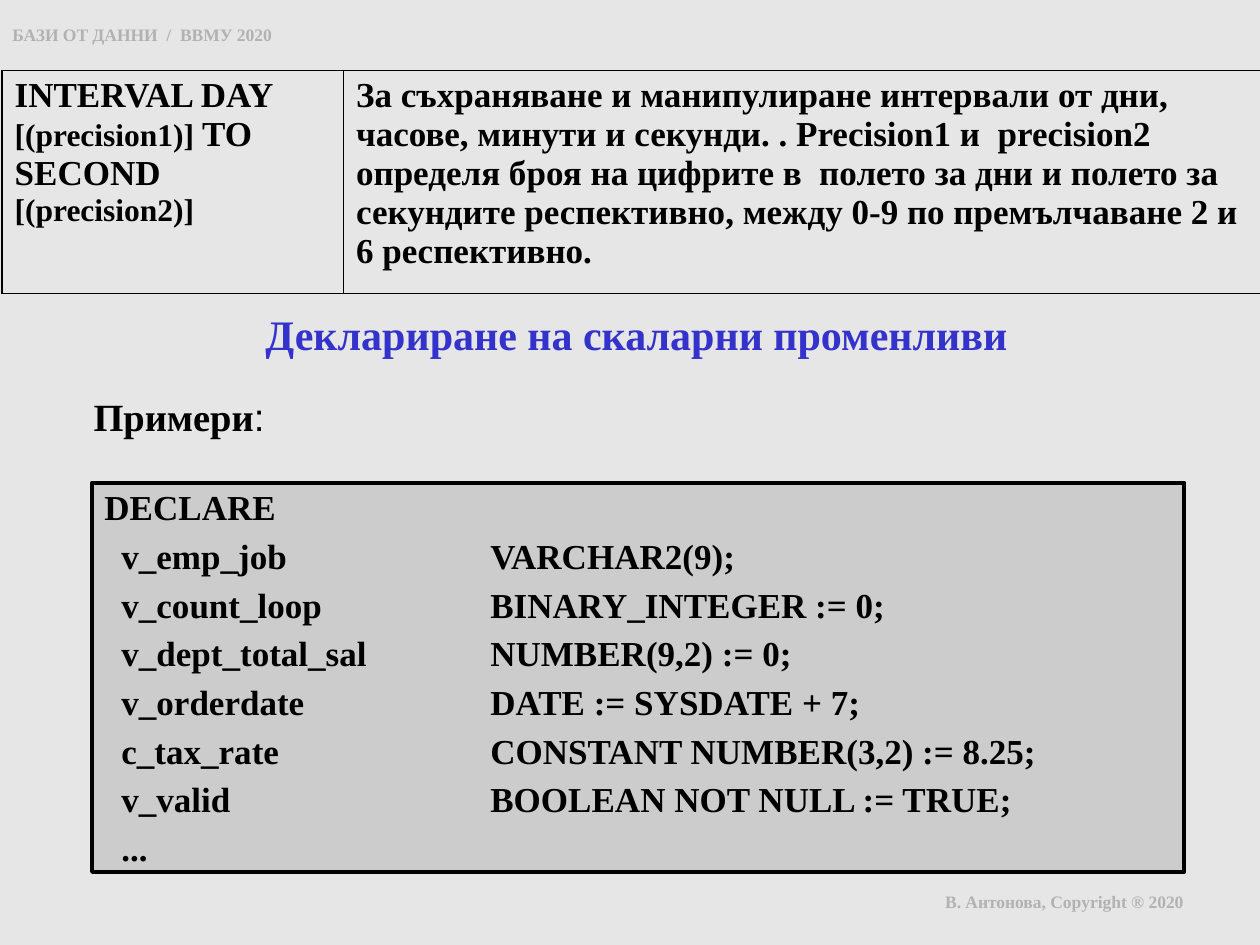
from pptx import Presentation
from pptx.dml.color import RGBColor
from pptx.enum import shapes, text
from pptx.oxml import parse_xml
from pptx.oxml.ns import nsdecls
from pptx.util import Pt

BLACK = RGBColor(0, 0, 0)
BLUE = RGBColor(0x33, 0x33, 0xCC)
MUTED = RGBColor(0xB2, 0xB2, 0xB2)
PANEL = RGBColor(0xCC, 0xCC, 0xCC)
PAGE = RGBColor(0xE6, 0xE6, 0xE6)
SERIF = "Times New Roman"

# Each paragraph is a list of (text, size) runs
TYPE = [
    [("INTERVAL DAY ", 20)],
    [("[(precision1)] ", 18), ("TO SECOND ", 20), ("[(precision2)] ", 18)],
]
USE = [[(
    "За съхраняване и манипулиране интервали от дни, часове, минути и секунди. . "
    "Precision1 и  precision2 определя броя на цифрите в  полето за дни и полето за "
    "секундите респективно, между 0-9 по премълчаване 2 и 6 респективно.", 20)]]
WIDTHS = (195.1, 524.9)
# Text, box, inset, size, colour, alignment, space before
LABELS = [
    ("БАЗИ ОТ ДАННИ  /  ВВМУ 2020", (0, 10, 215, 19.5), (7.2, 3.6), 10, MUTED, "LEFT", 0),
    ("В. Антонова, Copyright ® 2020", (533, 505.5, 187, 30), (7.2, 3.6), 10, MUTED, "LEFT", 0),
    ("Деклариране на скаларни променливи", (52, 175.5, 623.5, 43), (0.7, 0.7), 24, BLUE,
     "CENTER", 4.8),
    ("Примери", (52.8, 224, 623.5, 29), (0.7, 0.7), 22, BLACK, "LEFT", 4.4),
]
VARS = [
    ("v_emp_job", "VARCHAR2(9);"),
    ("v_count_loop", "BINARY_INTEGER := 0;"),
    ("v_dept_total_sal", "NUMBER(9,2) := 0;"),
    ("v_orderdate", "DATE := SYSDATE + 7;"),
    ("c_tax_rate", "CONSTANT NUMBER(3,2) := 8.25;"),
    ("v_valid", "BOOLEAN NOT NULL := TRUE;"),
    ("...",),
]
STOPS = (9.7, 220.5)


def style(run, size, color=BLACK, bold=True, face=SERIF):
    """Format one run."""
    font = run.font
    font.name, font.size, font.bold = face, Pt(size), bold
    font.color.rgb = color


def inset(frame, side, top):
    """Wrap a text frame and set its margins."""
    frame.word_wrap = True
    frame.vertical_anchor = text.MSO_ANCHOR.TOP
    frame.margin_left = frame.margin_right = Pt(side)
    frame.margin_top = frame.margin_bottom = Pt(top)


def label(slide, words, box, pad, size, color, align, before):
    """Add a one-line text box and return its paragraph."""
    frame = slide.shapes.add_textbox(*map(Pt, box)).text_frame
    inset(frame, *pad)
    para = frame.paragraphs[0]
    para.text = words
    para.alignment = getattr(text.PP_ALIGN, align)
    para.space_before = Pt(before)
    style(para.runs[0], size, color)
    return para


def fill_cell(cell, paras):
    """Write a clear cell with black borders."""
    cell.fill.background()
    frame = cell.text_frame
    for i, runs in enumerate(paras):
        para = frame.add_paragraph() if i else frame.paragraphs[0]
        for words, size in runs:
            run = para.add_run()
            run.text = words
            style(run, size)
    props = cell._tc.get_or_add_tcPr()
    for i, side in enumerate("LRTB"):
        props.insert(i, parse_xml(
            f'<a:ln{side} {nsdecls("a")} w="{Pt(1)}"><a:solidFill>'
            f'<a:srgbClr val="{BLACK}"/></a:solidFill></a:ln{side}>'))


def add_grid(slide):
    """Add the data type table."""
    grid = slide.shapes.add_table(
        1, 2, Pt(1.2), Pt(40.2), Pt(sum(WIDTHS)), Pt(127.4)).table
    grid.first_row = grid.horz_banding = False
    for col, width, cell, paras in zip(grid.columns, WIDTHS, grid.rows[0].cells, (TYPE, USE)):
        col.width = Pt(width)
        fill_cell(cell, paras)


def add_code(slide):
    """Add the code panel, with columns set by tab stops."""
    panel = slide.shapes.add_shape(
        shapes.MSO_SHAPE.RECTANGLE, Pt(52.6), Pt(275.8), Pt(624.2), Pt(222.5))
    panel.shadow.inherit = False
    panel.fill.solid()
    panel.fill.fore_color.rgb = PANEL
    panel.line.color.rgb = BLACK
    panel.line.width = Pt(2.25)
    frame = panel.text_frame
    inset(frame, 7.2, 3.6)
    lines = ["DECLARE"] + ["\t" + "\t".join(row) for row in VARS]
    frame.text = "\n".join(lines)
    tabs = "".join(f'<a:tab pos="{Pt(x)}" algn="l"/>' for x in STOPS)
    for para in frame.paragraphs:
        para.alignment = text.PP_ALIGN.LEFT
        para.line_spacing = 0.95
        para.space_before = Pt(5)
        para._p.get_or_add_pPr().append(
            parse_xml(f'<a:tabLst {nsdecls("a")}>{tabs}</a:tabLst>'))
        for run in para.runs:
            style(run, 20)


def main():
    """Build the slide."""
    deck = Presentation()
    deck.slide_width, deck.slide_height = Pt(720), Pt(540)
    slide = deck.slides.add_slide(deck.slide_layouts[6])
    back = slide.background.fill
    back.solid()
    back.fore_color.rgb = PAGE
    add_grid(slide)
    for item in LABELS:
        para = label(slide, *item)
    colon = para.add_run()
    colon.text = ":"
    style(colon, 22, bold=False, face="Arial")
    add_code(slide)
    deck.save("out.pptx")


main()
